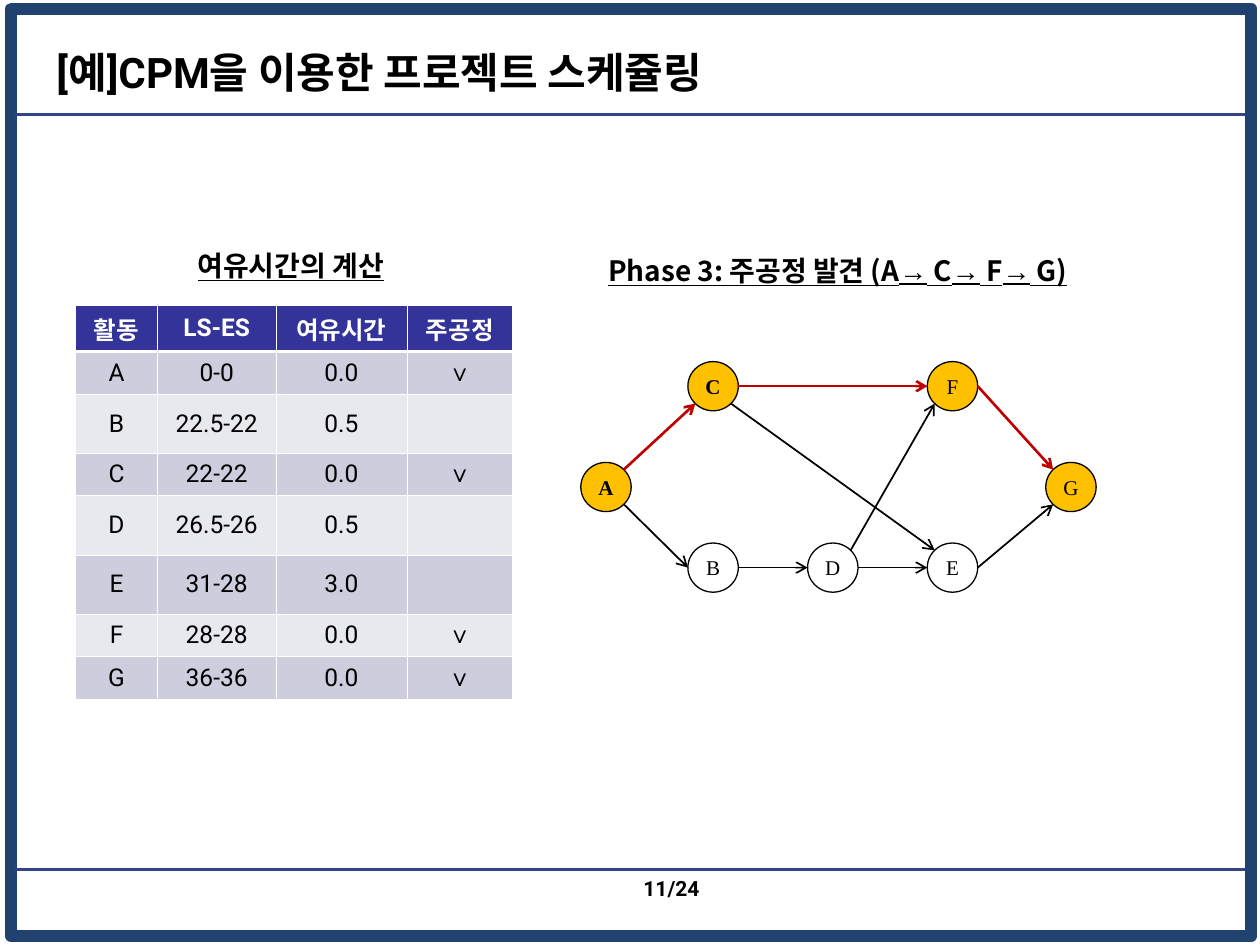
from dataclasses import dataclass
from math import sqrt

from lxml.etree import SubElement
from pptx import Presentation
from pptx.dml.color import RGBColor
from pptx.enum.shapes import MSO_CONNECTOR as Connector, MSO_SHAPE as Shape
from pptx.enum.text import MSO_ANCHOR as Anchor, PP_ALIGN as Align
from pptx.oxml.ns import qn
from pptx.util import Inches, Pt

COLUMNS, ROWS, CELL = 40, 30, 0.25  # page grid, cell size in inches


@dataclass(frozen=True)
class Theme:
    ink: str = "000000"
    paper: str = "FFFFFF"
    frame: str = "214171"
    rule: str = "314486"
    header: str = "333399"
    bands: tuple = ("CDCDDE", "E8E8EF")
    critical: str = "FFC000"
    critical_edge: str = "C00000"
    title_size: int = 24
    heading_size: int = 16
    table_size: int = 14
    small_size: int = 12
    body_font: str = "Roboto"
    heading_font: str = "Noto Sans CJK KR"
    symbol_font: str = "Arial"
    node_font: str = "Times New Roman"


THEME = Theme()

# Activity, LS-ES, slack, on the critical path
HEADERS = ("활동", "LS-ES", "여유시간", "주공정")
ACTIVITIES = (
    ("A", "0-0", "0.0", "∨"),
    ("B", "22.5-22", "0.5", ""),
    ("C", "22-22", "0.0", "∨"),
    ("D", "26.5-26", "0.5", ""),
    ("E", "31-28", "3.0", ""),
    ("F", "28-28", "0.0", "∨"),
    ("G", "36-36", "0.0", "∨"),
)
TABLE_COLUMNS = (2.6, 3.76, 4.16, 3.36)
HEADER_HEIGHT, MARKED_HEIGHT, OPEN_HEIGHT = 1.48, 1.35, 1.88

NODE_COLUMNS = (19.24, 22.64, 26.44, 30.24, 34)
NODE_ROWS = (12.26, 15.46, 18.02)
NODE_WIDTH, NODE_HEIGHT = 1.6, 1.56
NODES = {"A": (0, 1), "C": (1, 0), "B": (1, 2), "D": (2, 2),
         "E": (3, 2), "F": (3, 0), "G": (4, 1)}
CRITICAL_PATH = "ACFG"
BOLD_NODES = "AC"

DIAGONAL = 1 / sqrt(2)
SIDES = {"left": (-1, 0), "right": (1, 0),
         "top left": (-DIAGONAL, -DIAGONAL), "top right": (DIAGONAL, -DIAGONAL),
         "bottom left": (-DIAGONAL, DIAGONAL), "bottom right": (DIAGONAL, DIAGONAL)}
EDGES = (
    ("A", "top right", "C", "bottom left"),
    ("A", "bottom right", "B", "left"),
    ("C", "bottom right", "E", "top left"),
    ("C", "right", "F", "left"),
    ("F", "right", "G", "top left"),
    ("D", "top right", "F", "bottom left"),
    ("D", "right", "E", "left"),
    ("B", "right", "D", "left"),
    ("E", "right", "G", "bottom left"),
)


def grid(*cells):
    return [Inches(cell * CELL) for cell in cells]


def rgb(code):
    return RGBColor.from_string(code)


def apply(target, **formats):
    for name, value in formats.items():
        setattr(target, name, value)


def add_span(para, text, font, size, color=THEME.ink, **formats):
    span = para.add_run()
    span.text = text
    apply(span.font, name=font, size=Pt(size), **formats)
    span.font.color.rgb = rgb(color)
    east_asian = SubElement(span.font._element, qn("a:ea"))
    east_asian.set("typeface", THEME.heading_font)


def add_text(page, area, spans, size, align=Align.LEFT, wrap=True,
             anchor=Anchor.TOP, **formats):
    """Add one paragraph made of (text, font) spans."""
    box = page.shapes.add_textbox(*grid(*area))
    apply(box.text_frame, word_wrap=wrap, vertical_anchor=anchor)
    para = box.text_frame.paragraphs[0]
    para.alignment = align
    for text, font in spans:
        add_span(para, text, font, size, bold=True, **formats)


def add_line(page, start, end, color, width, arrow=False):
    line = page.shapes.add_connector(Connector.STRAIGHT, *grid(*start, *end))
    line.line.color.rgb = rgb(color)
    line.line.width = Pt(width)
    if arrow:
        SubElement(line.line._get_or_add_ln(), qn("a:tailEnd")).set("type", "arrow")
    SubElement(line._element.spPr, qn("a:effectLst"))


def add_outlined(page, kind, area, color, width, fill=None):
    shape = page.shapes.add_shape(kind, *grid(*area))
    shape.shadow.inherit = False
    shape.line.color.rgb = rgb(color)
    shape.line.width = Pt(width)
    if fill:
        shape.fill.solid()
        shape.fill.fore_color.rgb = rgb(fill)
    else:
        shape.fill.background()
    return shape


def add_borders(cell, widths):
    """Draw cell borders; widths maps L, R, T, B in that order to points."""
    props = cell._tc.get_or_add_tcPr()
    for place, (side, width) in enumerate(widths.items()):
        border = SubElement(props, qn(f"a:ln{side}"), w=str(Pt(width)))
        fill = SubElement(border, qn("a:solidFill"))
        SubElement(fill, qn("a:srgbClr"), val=THEME.paper)
        props.insert(place, border)


def add_slack_table(page):
    records = (HEADERS, *ACTIVITIES)
    heights = [HEADER_HEIGHT] + [MARKED_HEIGHT if record[-1] else OPEN_HEIGHT
                                 for record in ACTIVITIES]
    area = (2.4, 9.68, sum(TABLE_COLUMNS), sum(heights))
    table = page.shapes.add_table(len(records), len(HEADERS), *grid(*area)).table
    for column, width in zip(table.columns, grid(*TABLE_COLUMNS)):
        column.width = width
    for row, height in zip(table.rows, grid(*heights)):
        row.height = height
    for index, record in enumerate(records):
        is_header = index == 0
        for cell, text in zip(table.rows[index].cells, record):
            cell.vertical_anchor = Anchor.MIDDLE
            cell.fill.solid()
            cell.fill.fore_color.rgb = rgb(
                THEME.header if is_header else THEME.bands[(index - 1) % 2])
            add_borders(cell, {"L": 0.45, "R": 0.45,
                               "T": 1.47 if index == 1 else 0.45,
                               "B": 1.47 if is_header else 0.45})
            para = cell.text_frame.paragraphs[0]
            para.alignment = Align.CENTER
            if text:
                is_mark = text == "∨"
                add_span(para, text, THEME.symbol_font if is_mark else THEME.body_font,
                         THEME.table_size, THEME.paper if is_header else THEME.ink,
                         bold=is_header or is_mark)


def node_point(name, side=None):
    column, row = NODES[name]
    across, down = SIDES.get(side, (0, 0))
    return (NODE_COLUMNS[column] + across * NODE_WIDTH / 2,
            NODE_ROWS[row] + down * NODE_HEIGHT / 2)


def add_node(page, name):
    x, y = node_point(name)
    area = (x - NODE_WIDTH / 2, y - NODE_HEIGHT / 2, NODE_WIDTH, NODE_HEIGHT)
    fill = THEME.critical if name in CRITICAL_PATH else None
    node = add_outlined(page, Shape.OVAL, area, THEME.ink, 0.75, fill)
    apply(node.text_frame, word_wrap=False, vertical_anchor=Anchor.MIDDLE)
    para = node.text_frame.paragraphs[0]
    para.alignment = Align.CENTER
    add_span(para, name, THEME.node_font, THEME.small_size, bold=name in BOLD_NODES)


def add_network(page):
    for name in NODES:
        add_node(page, name)
    for source, exit_side, target, entry_side in EDGES:
        critical = source + target in CRITICAL_PATH
        add_line(page, node_point(source, exit_side), node_point(target, entry_side),
                 THEME.critical_edge if critical else THEME.ink,
                 1.5 if critical else 1, arrow=True)


def main():
    deck = Presentation()
    deck.slide_width, deck.slide_height = grid(COLUMNS, ROWS)
    page = deck.slides.add_slide(deck.slide_layouts[6])

    add_outlined(page, Shape.RECTANGLE, (0.36, 0.28, 39.36, 29.44), THEME.frame, 7)
    for row in (3.64, 27.6):
        add_line(page, (0.48, row), (COLUMNS - 0.48, row), THEME.rule, 2)
    add_text(page, (17.36, 27.6, 5.24, 1.32), [("11/24", THEME.body_font)],
             THEME.small_size, Align.RIGHT)
    add_text(page, (1.4, 1.2, 31.2, 2.16),
             [("[예]CPM을 이용한 프로젝트 스케쥴링", THEME.body_font)],
             THEME.title_size, anchor=Anchor.MIDDLE)

    add_slack_table(page)
    add_network(page)
    path_spans = [("Phase 3: 주공정 발견 (A", THEME.heading_font)]
    for text in (" C", " F", " G)"):
        path_spans += [("→", THEME.symbol_font), (text, THEME.heading_font)]
    add_text(page, (18.64, 7.84, 15.92, 1.48), path_spans, THEME.heading_size,
             Align.CENTER, wrap=False, underline=True)
    add_text(page, (5.88, 7.68, 6.76, 1.48), [("여유시간의 계산", THEME.heading_font)],
             THEME.heading_size, wrap=False, underline=True)
    deck.save("out.pptx")


if __name__ == "__main__":
    main()
